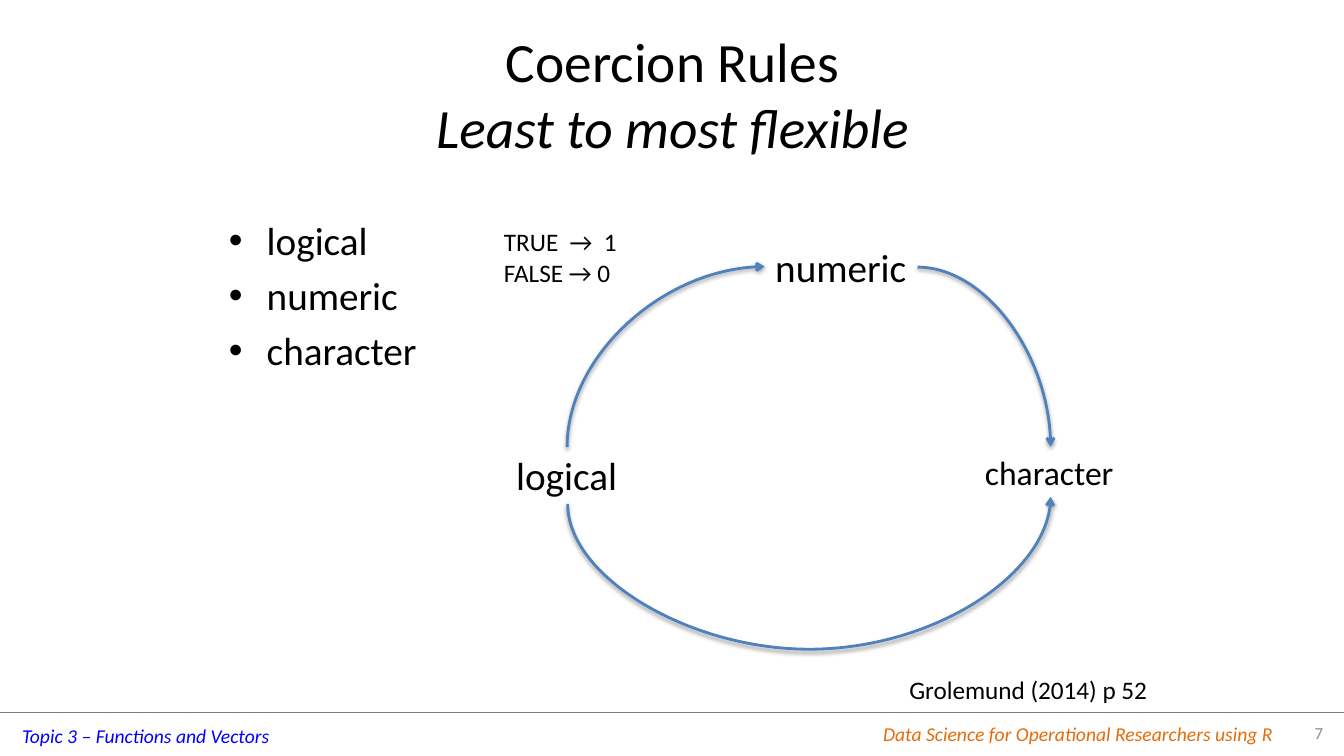
from lxml.etree import SubElement
from pptx import Presentation
from pptx.dml.color import RGBColor
from pptx.enum.shapes import MSO_CONNECTOR
from pptx.enum.text import MSO_ANCHOR, MSO_AUTO_SIZE, PP_ALIGN
from pptx.oxml import parse_xml
from pptx.oxml.ns import nsdecls, qn
from pptx.util import Inches, Pt

SHADOW = (
    f'<a:effectLst {nsdecls("a")}><a:outerShdw blurRad="40000" dist="20000" '
    'dir="5400000" rotWithShape="0"><a:srgbClr val="000000">'
    '<a:alpha val="38000"/></a:srgbClr></a:outerShdw></a:effectLst>'
)
NO_SHADOW = f'<a:effectLst {nsdecls("a")}/>'


def color(value):
    return RGBColor.from_string(value)


def write(p, text, size=28, fill="000000", italic=False, align=None):
    r = p.add_run()
    r.text = text
    r.font.name = "Calibri"
    r.font.size = Pt(size)
    r.font.italic = italic
    r.font.color.rgb = color(fill)
    if align is not None:
        p.alignment = align


class Deck:
    blue = "4F81BD"

    def __init__(self, prs):
        self.s = prs.slides.add_slide(prs.slide_layouts[1])

    def place(self, sp, left, top, width, height):
        sp.left, sp.top = Inches(left), Inches(top)
        sp.width, sp.height = Inches(width), Inches(height)

    def title(self, box, first, second):
        sp = self.s.shapes.title
        self.place(sp, *box)
        tf = sp.text_frame
        tf.vertical_anchor = MSO_ANCHOR.MIDDLE
        p = tf.paragraphs[0]
        write(p, first, size=39.6, align=PP_ALIGN.CENTER)
        p.add_line_break()
        write(p, second, size=39.6, italic=True)

    def bullets(self, box, items):
        sp = self.s.placeholders[1]
        self.place(sp, *box)
        self.fill_lines(sp.text_frame, items)

    def fill_lines(self, tf, lines, **style):
        for i, line in enumerate(lines):
            p = tf.add_paragraph() if i else tf.paragraphs[0]
            write(p, line, **style)

    def label(self, box, *lines, **style):
        tf = self.s.shapes.add_textbox(*map(Inches, box)).text_frame
        tf.word_wrap = False
        tf.auto_size = MSO_AUTO_SIZE.SHAPE_TO_FIT_TEXT
        self.fill_lines(tf, lines, **style)

    def page_number(self, box, text):
        tf = self.s.shapes.add_textbox(*map(Inches, box)).text_frame
        tf.word_wrap = True
        tf.vertical_anchor = MSO_ANCHOR.MIDDLE
        write(tf.paragraphs[0], text, size=12, fill="8C8C8C", align=PP_ALIGN.RIGHT)

    def connector(self, kind, start, end, fill, width, effect):
        sp = self.s.shapes.add_connector(kind, *map(Inches, start + end))
        sp.line.color.rgb = color(fill)
        sp.line.width = Pt(width)
        sp._element.spPr.append(parse_xml(effect))
        return sp

    def rule(self, start, end):
        self.connector(MSO_CONNECTOR.STRAIGHT, start, end, "808080", 0.25, NO_SHADOW)

    def arrow(self, start, end, preset, turned=False, bend=None):
        sp = self.connector(MSO_CONNECTOR.CURVE, start, end, self.blue, 2, SHADOW)
        spPr = sp._element.spPr
        if turned:
            spPr.find(qn("a:xfrm")).set("rot", "5400000")
        geom = spPr.find(qn("a:prstGeom"))
        geom.set("prst", preset)
        if bend is not None:
            guides = geom.find(qn("a:avLst"))
            if guides is None:
                guides = SubElement(geom, qn("a:avLst"))
            SubElement(guides, qn("a:gd"), name="adj1", fmla=f"val {bend}")
        SubElement(spPr.find(qn("a:ln")), qn("a:tailEnd"), type="arrow")


def main():
    prs = Presentation()
    prs.slide_width, prs.slide_height = Inches(13.33), Inches(7.5)
    deck = Deck(prs)

    deck.rule((0, 7.07), (13.33, 7.07))
    deck.label((0.12, 7.13, 2.68, 0.34), "Topic 3 – Functions and Vectors",
               size=14, fill="0000FF", italic=True)
    deck.label((8.66, 7.11, 4.11, 0.34), "Data Science for Operational Researchers using R",
               size=14, fill="E46C0A", italic=True)
    deck.page_number((12.67, 7.07, 0.55, 0.39), "7")

    deck.title((0.67, 0.3, 12, 1.25), "Coercion Rules", "Least to most flexible")
    deck.bullets((2.17, 2.1, 4.42, 4.95), ["logical", "numeric", "character"])

    deck.label((5.02, 4.43, 1.22, 0.57), "logical")
    deck.label((7.59, 2.36, 1.52, 0.57), "numeric")
    deck.label((9.67, 4.43, 1.5, 0.5), "character", size=24)

    deck.arrow((7.5, 4.52), (5.71, 2.56), "curvedConnector2", turned=True)
    deck.arrow((9.1, 2.65), (10.42, 4.43), "curvedConnector2")
    deck.arrow((8.06, 7.36), (7.99, 2.57), "curvedConnector3", turned=True, bend=-2057000)

    deck.label((4.9, 2.2, 1.35, 0.71), "TRUE  →  1", "FALSE → 0", size=18)
    deck.label((8.92, 6.64, 2.59, 0.4), "Grolemund (2014) p 52", size=18)
    prs.save("out.pptx")


if __name__ == "__main__":
    main()
